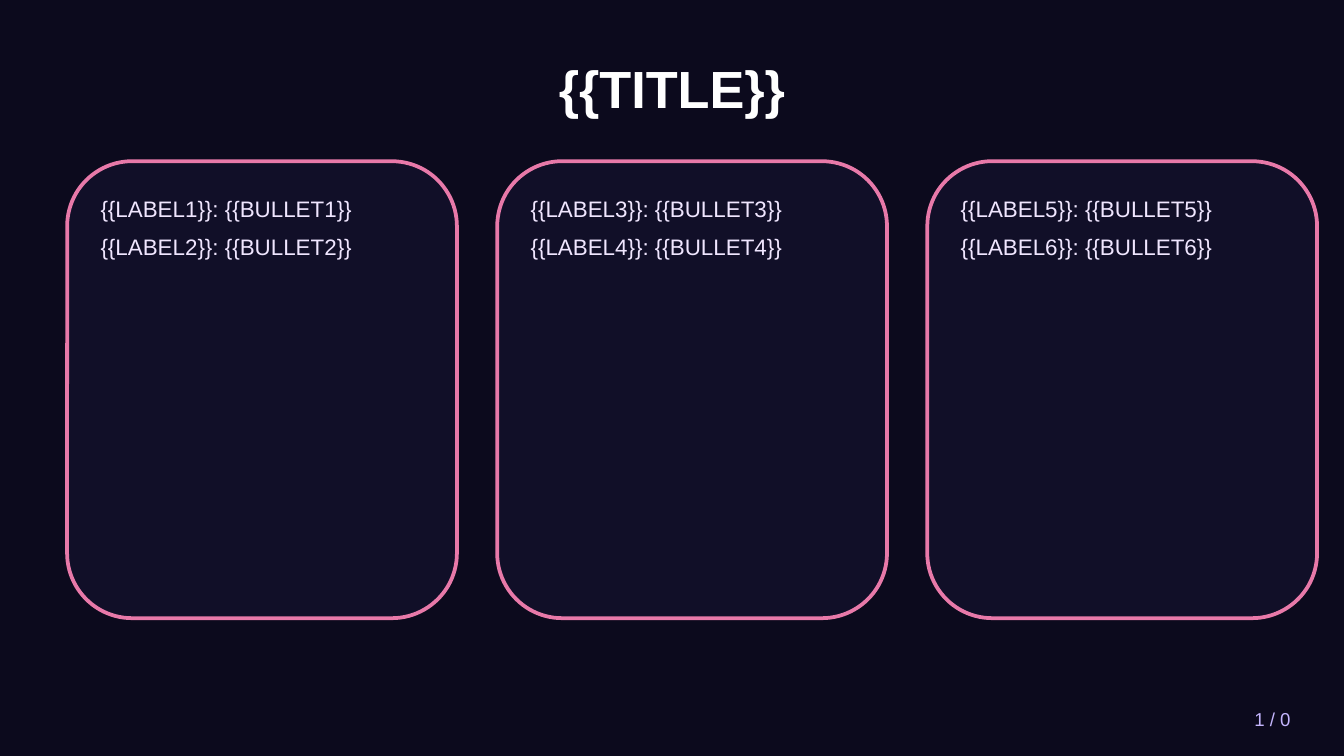
from lxml import etree
from pptx import Presentation
from pptx.dml.color import RGBColor
from pptx.enum.shapes import MSO_SHAPE
from pptx.enum.text import MSO_ANCHOR, PP_ALIGN
from pptx.oxml.ns import qn
from pptx.util import Pt

PX = 4572
ROUNDED = MSO_SHAPE.ROUNDED_RECTANGLE
TOP, MIDDLE = MSO_ANCHOR.TOP, MSO_ANCHOR.MIDDLE
LEFT, CENTER, RIGHT = PP_ALIGN.LEFT, PP_ALIGN.CENTER, PP_ALIGN.RIGHT
BLANK = 6


def emu(*lengths):
    return [length * PX for length in lengths]


def paint(color_format, color):
    color_format.rgb = RGBColor.from_string(color)


def add_text(slide, box, lines, size, color, align=LEFT, anchor=TOP, bold=False, gap=0):
    frame = slide.shapes.add_textbox(*emu(*box)).text_frame
    frame.word_wrap = True
    frame.vertical_anchor = anchor
    frame.text = "\n".join(lines)
    for paragraph in frame.paragraphs:
        paragraph.alignment = align
        paragraph.space_after = Pt(gap)
        for run in paragraph.runs:
            run.font.name = "Arial"
            run.font.size = Pt(size)
            run.font.bold = bold
            paint(run.font.color, color)


def add_title(slide, box):
    add_text(slide, box, ["{{TITLE}}"], 28, "FFFFFF", CENTER, MIDDLE, bold=True)


def add_card(slide, box, bullets):
    left, top, width, height = box
    card = slide.shapes.add_shape(ROUNDED, *emu(*box))
    card.shadow.inherit = False
    card.fill.solid()
    paint(card.fill.fore_color, "12102A")
    fill_color = card.fill._xPr.find(qn("a:solidFill"))[0]
    etree.SubElement(fill_color, qn("a:alpha")).set("val", "90000")
    paint(card.line.color, "E879A9")
    card.line.width = Pt(2)
    inner = (left + 30, top + 40, width - 60, height - 80)
    add_text(slide, inner, bullets, 12, "F0E6FF", gap=6)


def add_cards(slide, box, count, gap, per_card):
    left, top, width, height = box
    card_width = (width - gap * (count - 1)) // count
    for index in range(count):
        first = index * per_card + 1
        bullets = [f"{{{{LABEL{n}}}}}: {{{{BULLET{n}}}}}" for n in range(first, first + per_card)]
        card_left = left + index * (card_width + gap)
        add_card(slide, (card_left, top, card_width, height), bullets)


def add_page_number(slide, box):
    add_text(slide, box, ["1 / 0"], 10, "C4B5FD", RIGHT, MIDDLE)


def main():
    deck = Presentation()
    deck.slide_width, deck.slide_height = emu(2000, 1125)
    slide = deck.slides.add_slide(deck.slide_layouts[BLANK])
    slide.background.fill.solid()
    paint(slide.background.fill.fore_color, "0C0A1D")
    add_title(slide, (100, 60, 1800, 140))
    add_cards(slide, (100, 240, 1860, 680), count=3, gap=60, per_card=2)
    add_page_number(slide, (1700, 1040, 240, 60))
    deck.save("out.pptx")


if __name__ == "__main__":
    main()
